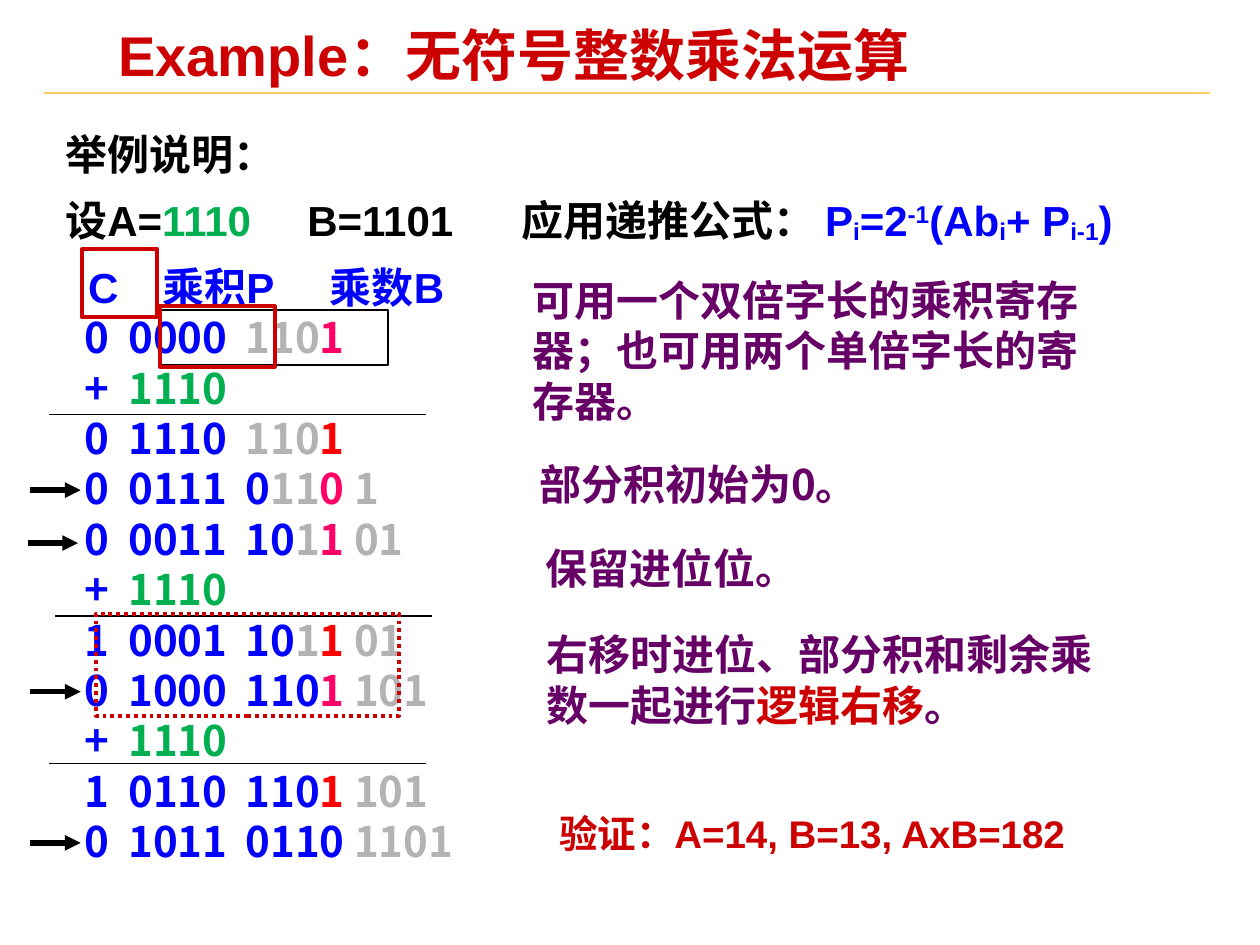
from lxml import etree
from pptx import Presentation
from pptx.dml.color import RGBColor
from pptx.enum.dml import MSO_LINE_DASH_STYLE as Dash
from pptx.enum.shapes import MSO_CONNECTOR as Connector, MSO_SHAPE as Shape
from pptx.enum.text import MSO_ANCHOR as Anchor
from pptx.oxml.ns import qn
from pptx.util import Inches, Pt

COLORS = {
    "black": "000000", "blue": "0000FF", "green": "00B050", "gray": "B3B3B3",
    "pink": "FF0066", "bright": "FF0000", "red": "CC0000",
    "purple": "660066", "gold": "FFCC66",
}
CJK = "Noto Sans CJK SC"

TITLE = [("Example：无符号整数乘法运算", "red")]
GIVEN = [
    ("设A=", "black"), ("1110", "green"), ("\tB=1101\t应用递推公式： ", "black"),
    ("P", "blue"), ("i", "blue", -10), ("=2", "blue"), ("-1", "blue", 30),
    ("(Ab", "blue"), ("i", "blue", -10), ("+ P", "blue"),
    ("i-1", "blue", -10), (")", "blue"),
]
HEADINGS = [("\tC\t乘积P\t乘数B", "blue")]
ADD = [("\t+\t", "blue"), ("1110", "green")]
STEPS = [
    [("\t0\t0000\t", "blue"), ("110", "gray"), ("1", "pink")],
    ADD,
    [("\t0\t1110\t", "blue"), ("110", "gray"), ("1", "bright")],
    [("\t0\t0111\t0", "blue"), ("11", "gray"), ("0 ", "pink"), ("1", "gray")],
    [("\t0\t0011\t10", "blue"), ("1", "gray"), ("1 ", "pink"), ("01", "gray")],
    ADD,
    [("\t1\t0001\t10", "blue"), ("1", "gray"), ("1 ", "bright"), ("01", "gray")],
    [("\t0\t1000\t110", "blue"), ("1 ", "pink"), ("101", "gray")],
    ADD,
    [("\t1\t0110\t110", "blue"), ("1", "bright"), (" 101", "gray")],
    [("\t0\t1011\t0110 ", "blue"), ("1101", "gray")],
]
GIVEN_TABS, HEADING_TABS, STEP_TABS = (1.92, 3.62), (0.18, 0.77, 2.1), (0.15, 0.5, 1.43)

NOTES = [
    ((4.13, 2.13, 4.53, 1.3), "Times New Roman", 24, True,
     [("可用一个双倍字长的乘积寄存器；也可用两个单倍字长的寄存器。", "purple")]),
    ((4.18, 3.59, 3.49, 0.5), CJK, 24, True, [("部分积初始为0。", "purple")]),
    ((4.23, 4.26, 2.2, 0.5), "Times New Roman", 24, False, [("保留进位位。", "purple")]),
    ((4.24, 4.94, 4.6, 0.9), "Times New Roman", 24, True,
     [("右移时进位、部分积和剩余乘数一起进行", "purple"), ("逻辑右移", "red"), ("。", "purple")]),
    ((4.34, 6.38, 5.14, 0.47), "Arial", 22, True, [("验证：A=14, B=13, AxB=182", "red")]),
]
SUM_RULES = [(0.39, 3.29), (0.44, 4.89), (0.39, 6.06)]
SUM_WIDTH = 2.99
SHIFT_ARROWS = [(0.24, 3.89), (0.22, 4.31), (0.24, 5.49), (0.24, 6.69)]
ARROW_WIDTH = 0.4
FRAMES = [
    ((1.27, 2.46, 1.81, 0.44), "black", 1, None),
    ((1.27, 2.43, 0.91, 0.48), "red", 2.25, None),
    ((0.65, 1.98, 0.6, 0.54), "red", 2.25, None),
    ((0.76, 4.87, 2.41, 0.81), "red", 2.25, Dash.ROUND_DOT),
]


def rgb(name):
    return RGBColor.from_string(COLORS[name])


def add_box(slide, place, wrap=True, inset=(0.1, 0.05)):
    frame = slide.shapes.add_textbox(*map(Inches, place)).text_frame
    frame.word_wrap = wrap
    frame.margin_left = frame.margin_right = Inches(inset[0])
    frame.margin_top = frame.margin_bottom = Inches(inset[1])
    return frame


def write(para, spans, font, size, tabs=(), before=0):
    if tabs:
        stops = etree.SubElement(para._p.get_or_add_pPr(), qn("a:tabLst"))
        for stop in tabs:
            etree.SubElement(stops, qn("a:tab"), pos=str(Inches(stop)), algn="l")
    if before:
        para.space_before = Pt(before)
    for text, color, *shift in spans:
        span = para.add_run()
        span.text = text
        span.font.name = font
        span.font.size = Pt(size)
        span.font.bold = True
        span.font.color.rgb = rgb(color)
        props = span._r.get_or_add_rPr()
        etree.SubElement(props, qn("a:ea"), typeface=CJK)
        if shift:
            props.set("baseline", str(shift[0] * 1000))


def add_rule(slide, left, top, width, color, weight, arrow=False):
    rule = slide.shapes.add_connector(
        Connector.STRAIGHT, Inches(left), Inches(top), Inches(left + width), Inches(top))
    rule.line.color.rgb = rgb(color)
    rule.line.width = Pt(weight)
    if arrow:
        etree.SubElement(rule.line._get_or_add_ln(), qn("a:tailEnd"), type="triangle")
    etree.SubElement(rule._element.spPr, qn("a:effectLst"))


def add_frame(slide, place, color, weight, dash):
    frame = slide.shapes.add_shape(Shape.RECTANGLE, *map(Inches, place))
    frame.shadow.inherit = False
    frame.fill.background()
    frame.line.color.rgb = rgb(color)
    frame.line.width = Pt(weight)
    if dash:
        frame.line.dash_style = dash


def main():
    deck = Presentation()
    deck.slide_width, deck.slide_height = Inches(10), Inches(7.5)
    slide = deck.slides.add_slide(deck.slide_layouts[6])

    add_rule(slide, 0.35, 0.74, 9.25, "gold", 1)
    title = add_box(slide, (0.87, 0.21, 6.64, 0.52), inset=(0.07, 0.03))
    title.vertical_anchor = Anchor.MIDDLE
    title.paragraphs[0].line_spacing = 0.87
    write(title.paragraphs[0], TITLE, "Arial", 32)

    working = add_box(slide, (0.42, 0.97, 9.51, 5.96))
    write(working.paragraphs[0], [("举例说明：", "black")], "Arial", 24)
    write(working.add_paragraph(), GIVEN, "Arial", 24, GIVEN_TABS, 9)
    write(working.add_paragraph(), HEADINGS, "Arial", 24, HEADING_TABS, 9)
    for step in STEPS:
        write(working.add_paragraph(), step, CJK, 24, STEP_TABS)

    for left, top in SUM_RULES:
        add_rule(slide, left, top, SUM_WIDTH, "black", 0.75)
    for left, top in SHIFT_ARROWS:
        add_rule(slide, left, top, ARROW_WIDTH, "black", 3, arrow=True)
    for place, font, size, wrap, spans in NOTES:
        write(add_box(slide, place, wrap).paragraphs[0], spans, font, size)
    for frame in FRAMES:
        add_frame(slide, *frame)

    deck.save("out.pptx")


if __name__ == "__main__":
    main()
